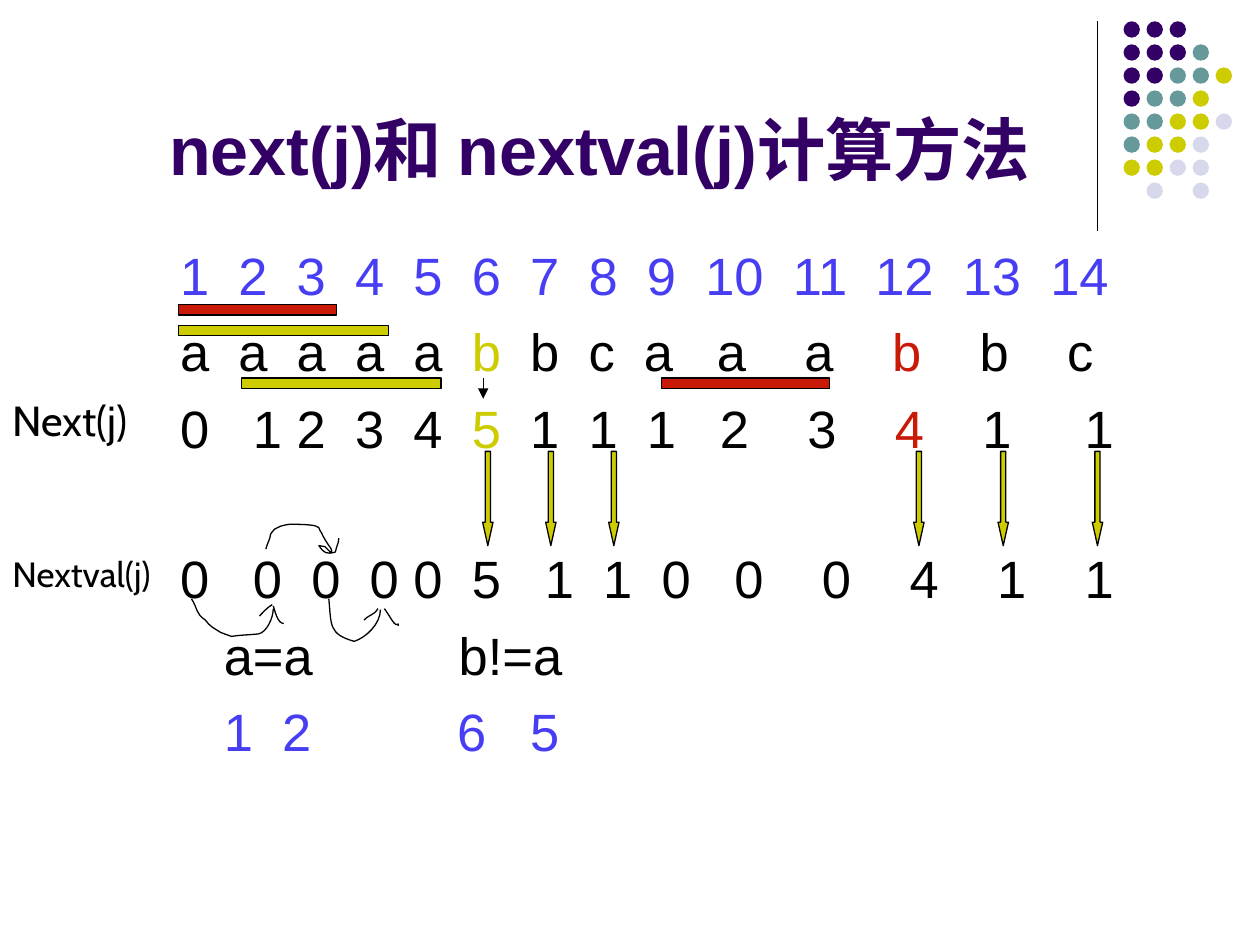
from lxml import etree
from pptx import Presentation
from pptx.dml.color import RGBColor
from pptx.enum.shapes import MSO_CONNECTOR, MSO_SHAPE
from pptx.enum.text import MSO_ANCHOR
from pptx.oxml.ns import qn
from pptx.util import Cm, Pt

OVAL, RECT, DOWN_ARROW = MSO_SHAPE.OVAL, MSO_SHAPE.RECTANGLE, MSO_SHAPE.DOWN_ARROW
STRAIGHT = MSO_CONNECTOR.STRAIGHT
TOP, BOTTOM = MSO_ANCHOR.TOP, MSO_ANCHOR.BOTTOM

BLACK, PURPLE, TEAL, OLIVE = "000000", "330066", "669999", "CCCC00"
LILAC, BLUE, RED = "D8D8EC", "473EF4", "C91907"

DOT_ROWS = ["PPP", "PPPT", "PPTTO", "PTTO", "TTOOL", "TOOL", "OOLL", " L L"]
DOT_COLORS = {"P": PURPLE, "T": TEAL, "O": OLIVE, "L": LILAC}
DOT_PITCH = 3.25 / 7

HALF_DIGIT = 5 / 17  # cm, half the width of a 30 pt Arial digit
ROW_GAP, NEXTVAL_GAP = 7.5, 50.2  # pt

# Space before, column stops in half digits, coloured pieces
ROWS = [
    (0, [4, 8, 12, 16, 20, 24, 28, 32, 36, 42, 47.65, 53.65, 59.65],
     [("1 2 3 4 5 6 7 8 9 10 11 12 13 14", BLUE)]),
    (ROW_GAP, [4, 8, 12, 16, 20, 24, 28, 31.8, 36.8, 42.8, 48.8, 54.8, 60.8],
     [("a a a a a ", BLACK), ("b", OLIVE), (" b c a a a ", BLACK),
      ("b", RED), (" b c", BLACK)]),
    (ROW_GAP, [5, 8, 12, 16, 20, 24, 28, 32, 37, 43, 49, 55, 62],
     [("0 1 2 3 4 ", BLACK), ("5", OLIVE), (" 1 1 1 2 3 ", BLACK),
      ("4", RED), (" 1 1", BLACK)]),
    (NEXTVAL_GAP, [5, 9, 13, 16, 20, 25, 29, 33, 38, 44, 50, 56, 62],
     [("0 0 0 0 0 5 1 1 0 0 0 4 1 1", BLACK)]),
    (ROW_GAP, [3, 19.1], [(" a=a b!=a", BLACK)]),
    (ROW_GAP, [3, 7, 19, 24], [(" 1 2 6 5", BLUE)]),
]

# Left, top, width, colour
BARS = [(3.6, 6.56, 4.23, OLIVE), (4.87, 7.62, 4.02, OLIVE),
        (13.34, 7.62, 3.39, RED), (3.6, 6.14, 3.18, RED)]
DOWN_ARROW_LEFTS = [9.73, 11, 12.27, 18.42, 20.12, 22.02]

# Start point, then Bezier segments of two controls and an end
STROKES = [
    [(3.86, 12.07),
     (3.99, 12.27), (3.94, 12.37), (4.14, 12.5),
     (4.22, 12.62), (4.32, 12.67), (4.45, 12.75),
     (4.52, 12.78), (4.67, 12.83), (4.67, 12.83),
     (4.85, 12.8), (5.03, 12.8), (5.21, 12.78),
     (5.38, 12.75), (5.51, 12.45), (5.51, 12.27)],
    [(5.36, 11.07),
     (5.38, 11), (5.41, 10.92), (5.44, 10.85),
     (5.46, 10.8), (5.44, 10.74), (5.49, 10.72),
     (5.51, 10.69), (5.56, 10.64), (5.59, 10.64),
     (5.66, 10.59), (5.84, 10.57), (5.84, 10.57),
     (5.99, 10.57), (6.15, 10.57), (6.3, 10.59),
     (6.35, 10.59), (6.4, 10.62), (6.43, 10.64),
     (6.45, 10.67), (6.45, 10.72), (6.48, 10.74),
     (6.53, 10.85), (6.58, 10.92), (6.63, 11),
     (6.65, 11.02), (6.71, 11.1), (6.68, 11.13),
     (6.63, 11.13), (6.6, 11.05), (6.55, 11.02),
     (6.5, 11.02), (6.48, 11), (6.43, 11),
     (6.53, 11.15), (6.58, 11.18), (6.76, 11.13),
     (6.83, 10.87), (6.83, 10.95), (6.83, 10.85)],
    [(5.49, 12.19), (5.36, 12.27), (5.33, 12.32), (5.23, 12.42)],
    [(5.51, 12.22), (5.54, 12.29), (5.59, 12.57), (5.72, 12.57)],
    [(6.63, 12.07),
     (6.68, 12.62), (6.63, 12.78), (7.14, 12.93),
     (7.39, 12.85), (7.67, 12.57), (7.67, 12.29)],
    [(7.62, 12.27), (7.52, 12.42), (7.47, 12.37), (7.34, 12.5)],
    [(7.75, 12.27),
     (7.8, 12.34), (7.85, 12.42), (7.9, 12.5),
     (8.03, 12.7), (8.03, 12.5), (8.03, 12.62)],
]


def rgb(color):
    return RGBColor.from_string(color)


def set_outline(sp):
    sp.line.color.rgb = rgb(BLACK)
    sp.line.width = Pt(0.75)


def add_filled(s, kind, left, top, width, height, fill, outlined=True):
    sp = s.shapes.add_shape(kind, Cm(left), Cm(top), Cm(width), Cm(height))
    sp.shadow.inherit = False
    sp.fill.solid()
    sp.fill.fore_color.rgb = rgb(fill)
    if outlined:
        set_outline(sp)
    else:
        sp.line.fill.background()
    return sp


def add_line(s, x1, y1, x2, y2, arrow=False):
    line = s.shapes.add_connector(STRAIGHT, Cm(x1), Cm(y1), Cm(x2), Cm(y2))
    set_outline(line)
    if arrow:
        ln = line._element.spPr.find(qn("a:ln"))
        etree.SubElement(ln, qn("a:tailEnd"), type="triangle")
    etree.SubElement(line._element.spPr, qn("a:effectLst"))


def add_frame(s, left, top, width, height, anchor=TOP):
    tf = s.shapes.add_textbox(Cm(left), Cm(top), Cm(width), Cm(height)).text_frame
    tf.word_wrap = True
    tf.vertical_anchor = anchor
    return tf


def set_font(p, name, size, color=None, bold=False):
    p.font.name = name
    p.font.size = Pt(size)
    p.font.bold = bold
    if color:
        p.font.color.rgb = rgb(color)


def add_label(s, text, left, top, width, height, name, size, color=BLACK,
              bold=False, anchor=TOP):
    p = add_frame(s, left, top, width, height, anchor).paragraphs[0]
    p.text = text
    set_font(p, name, size, color, bold)


def set_tabs(p, stops):
    tabs = etree.SubElement(p._p.get_or_add_pPr(), qn("a:tabLst"))
    for stop in stops:
        etree.SubElement(tabs, qn("a:tab"), pos=str(Cm(stop * HALF_DIGIT)), algn="l")


def add_rows(s):
    tf = add_frame(s, 3.38, 4.78, 20.75, 12.24)
    for i, (gap, stops, pieces) in enumerate(ROWS):
        p = tf.add_paragraph() if i else tf.paragraphs[0]
        set_tabs(p, stops)
        if gap:
            p.space_before = Pt(gap)
        set_font(p, "Arial", 30)
        for text, color in pieces:
            r = p.add_run()
            r.text = text.replace(" ", "\t")
            r.font.color.rgb = rgb(color)


def add_dots(s):
    for row, codes in enumerate(DOT_ROWS):
        for col, code in enumerate(codes):
            if code in DOT_COLORS:
                add_filled(s, OVAL, 22.65 + DOT_PITCH * col, 0.43 + DOT_PITCH * row,
                           0.33, 0.33, DOT_COLORS[code], outlined=False)


def add_stroke(s, points):
    """Draw an open chain of cubic Bezier segments."""
    (x, y), *rest = points
    builder = s.shapes.build_freeform(Cm(x), Cm(y))
    builder.add_line_segments([(Cm(x), Cm(y)) for x, y in rest], close=False)
    sp = builder.convert_to_shape()
    sp.shadow.inherit = False
    sp.fill.background()
    set_outline(sp)
    segments = list(sp._element.iter(qn("a:lnTo")))
    for i in range(0, len(segments), 3):
        first, *others = segments[i:i + 3]
        curve = etree.Element(qn("a:cubicBezTo"))
        first.addprevious(curve)
        for segment in (first, *others):
            curve.append(segment[0])
            segment.getparent().remove(segment)


def main():
    prs = Presentation()
    prs.slide_width, prs.slide_height = Cm(25.4), Cm(19.05)
    s = prs.slides.add_slide(prs.slide_layouts[6])

    add_line(s, 22.12, 0.43, 22.12, 4.65)
    add_dots(s)
    add_label(s, "next(j)和 nextval(j)计算方法", 3.16, 0.33, 19.06, 3.61,
              "Arial", 39, PURPLE, bold=True, anchor=BOTTOM)
    add_rows(s)
    for left, top, width, color in BARS:
        add_filled(s, RECT, left, top, width, 0.21, color)
    add_label(s, "Next(j)", 0, 7.83, 3.39, 1.27, "Cabin", 24)
    add_label(s, "Nextval(j)", 0, 11.01, 3.81, 1.12, "Cabin", 20)
    add_line(s, 9.74, 7.62, 9.74, 8.04, arrow=True)
    for points in STROKES:
        add_stroke(s, points)
    for left in DOWN_ARROW_LEFTS:
        arrow = add_filled(s, DOWN_ARROW, left, 9.1, 0.21, 1.9, OLIVE)
        arrow.adjustments[1] = 2.25

    prs.save("out.pptx")


if __name__ == "__main__":
    main()
